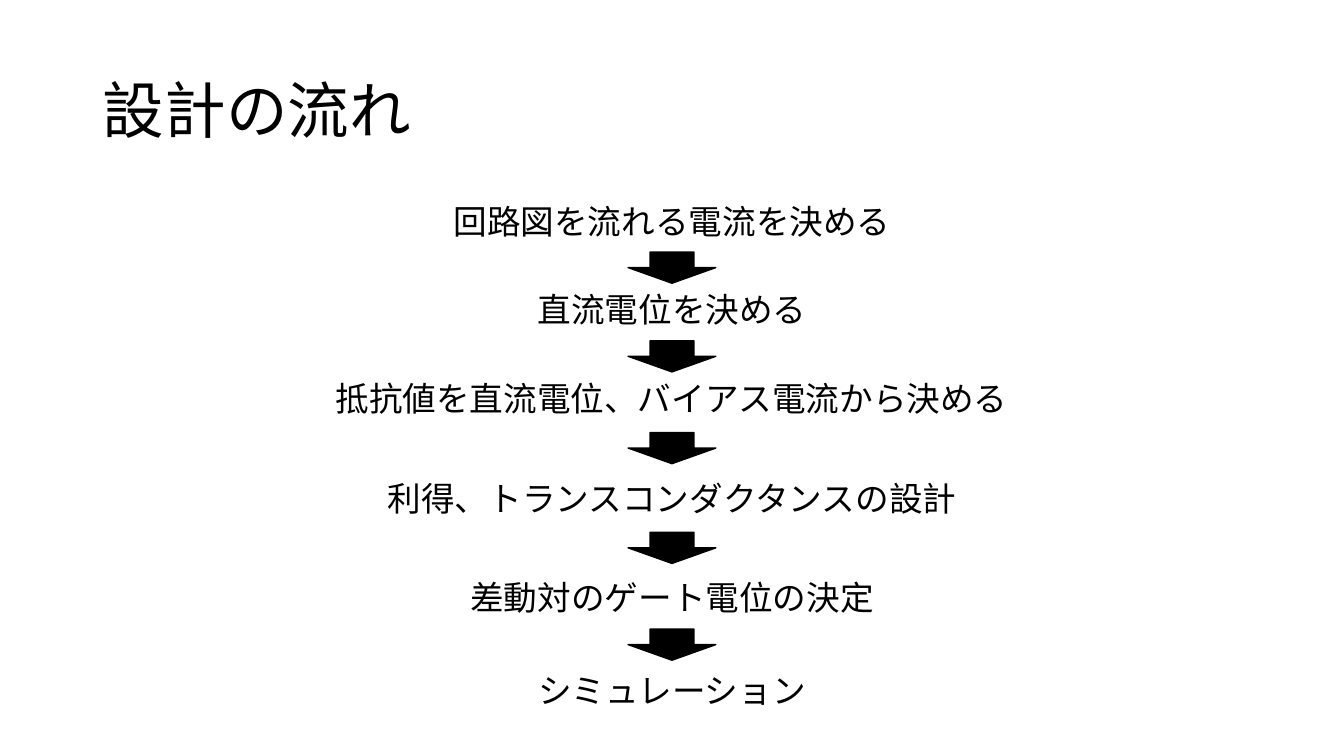
from dataclasses import dataclass
from typing import Optional

from lxml import etree
from pptx import Presentation
from pptx.dml.color import RGBColor
from pptx.enum.shapes import MSO_SHAPE
from pptx.enum.text import MSO_ANCHOR, MSO_AUTO_SIZE, PP_ALIGN
from pptx.oxml.ns import qn
from pptx.slide import Slide
from pptx.text.text import TextFrame
from pptx.util import Emu, Pt

DOWN_ARROW = MSO_SHAPE.DOWN_ARROW
MIDDLE = MSO_ANCHOR.MIDDLE
CENTER, LEFT = PP_ALIGN.CENTER, PP_ALIGN.LEFT
FIT_SHAPE, NO_FIT = MSO_AUTO_SIZE.SHAPE_TO_FIT_TEXT, MSO_AUTO_SIZE.NONE

EMU_PER_PX = 9144  # 100 px to the inch
SLIDE_WIDTH, SLIDE_HEIGHT = 1333, 750
STEP_HEIGHT = 50
ARROW_WIDTH, ARROW_HEIGHT = 87, 31
TITLE_ONLY = 5


@dataclass(frozen=True)
class Theme:
    font: str = "Noto Sans CJK JP"
    ink: RGBColor = RGBColor(0, 0, 0)
    title_size: int = 44
    step_size: int = 24
    arrow_line: int = 1


@dataclass(frozen=True)
class Step:
    text: str
    top: int
    width: int
    arrow_top: Optional[int] = None


THEME = Theme()
STEPS = [
    Step("回路図を流れる電流を決める", 194, 525, 250),
    Step("直流電位を決める", 282, 525, 338),
    Step("抵抗値を直流電位、バイアス電流から決める", 370, 714, 429),
    Step("利得、トランスコンダクタンスの設計", 469, 657, 528),
    Step("差動対のゲート電位の決定", 567, 471, 624),
    Step("シミュレーション", 660, 349),
]


def px(length: int) -> Emu:
    return Emu(length * EMU_PER_PX)


def centered_left(width: int) -> int:
    return (SLIDE_WIDTH - width) // 2


def set_text(frame: TextFrame, text: str, size: int, alignment: PP_ALIGN) -> None:
    """Fill the frame with one run, in the theme font for Latin and Japanese."""
    frame.text = text
    frame.word_wrap = True
    paragraph = frame.paragraphs[0]
    paragraph.alignment = alignment
    run = paragraph.runs[0]
    run.font.size = Pt(size)
    run.font.name = THEME.font
    run.font.color.rgb = THEME.ink
    east_asian = etree.Element(qn("a:ea"), typeface=THEME.font)
    run.font._element.find(qn("a:latin")).addnext(east_asian)


def add_title(slide: Slide, text: str) -> None:
    title = slide.shapes.title
    title.left, title.top, title.width, title.height = map(px, (92, 40, 1150, 145))
    frame = title.text_frame
    set_text(frame, text, THEME.title_size, LEFT)
    frame.vertical_anchor = MIDDLE
    frame.auto_size = NO_FIT
    frame.paragraphs[0].line_spacing = 0.9


def add_step(slide: Slide, step: Step) -> None:
    box = slide.shapes.add_textbox(
        px(centered_left(step.width)), px(step.top), px(step.width), px(STEP_HEIGHT)
    )
    set_text(box.text_frame, step.text, THEME.step_size, CENTER)
    box.text_frame.auto_size = FIT_SHAPE


def add_arrow(slide: Slide, top: int) -> None:
    arrow = slide.shapes.add_shape(
        DOWN_ARROW, px(centered_left(ARROW_WIDTH)), px(top), px(ARROW_WIDTH), px(ARROW_HEIGHT)
    )
    arrow.shadow.inherit = False
    arrow.fill.solid()
    arrow.fill.fore_color.rgb = THEME.ink
    arrow.line.color.rgb = THEME.ink
    arrow.line.width = Pt(THEME.arrow_line)


def main() -> None:
    presentation = Presentation()
    presentation.slide_width = px(SLIDE_WIDTH)
    presentation.slide_height = px(SLIDE_HEIGHT)
    slide = presentation.slides.add_slide(presentation.slide_layouts[TITLE_ONLY])
    add_title(slide, "設計の流れ")
    for step in STEPS:
        add_step(slide, step)
    for step in STEPS:
        if step.arrow_top is not None:
            add_arrow(slide, step.arrow_top)
    presentation.save("out.pptx")


if __name__ == "__main__":
    main()
